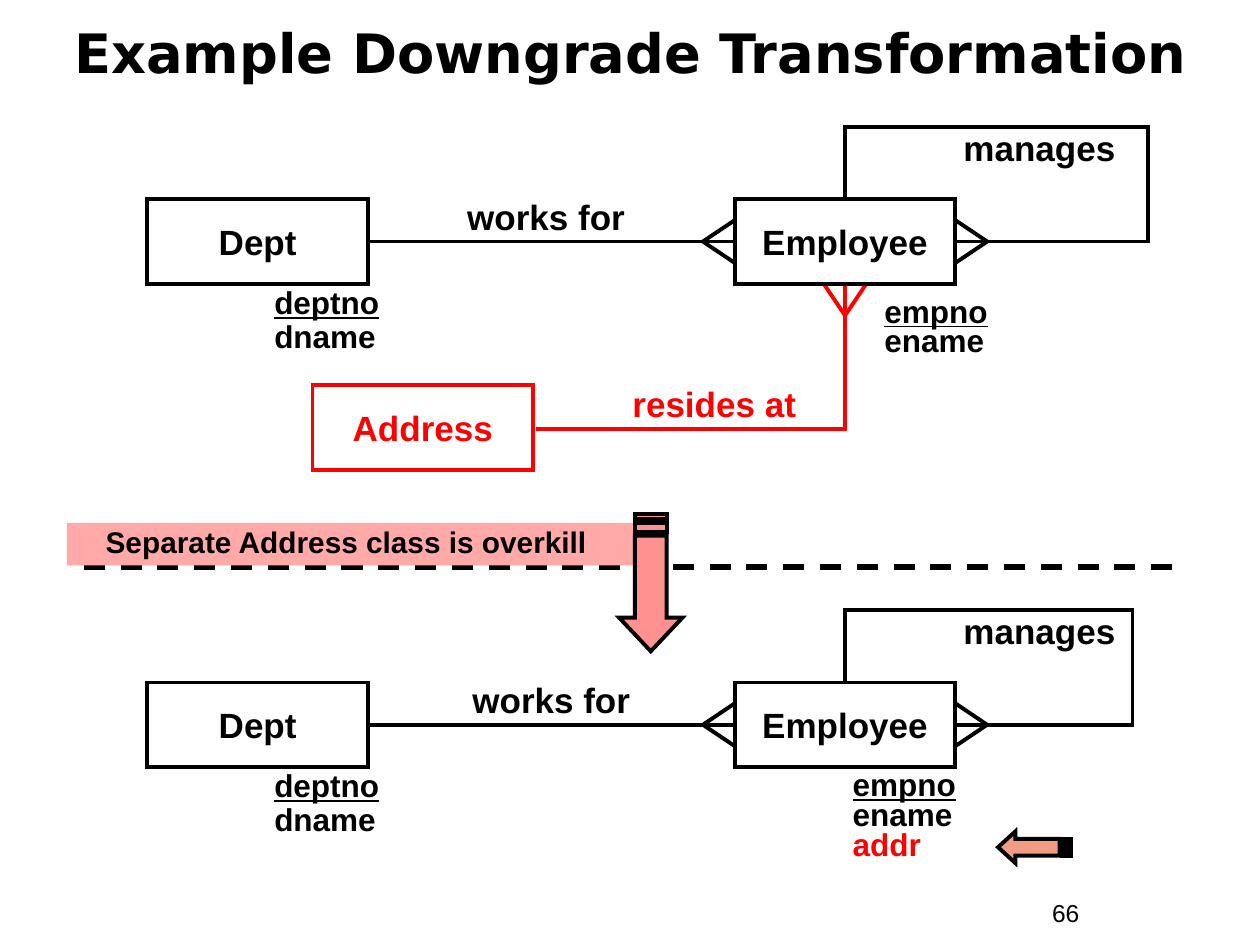
from dataclasses import dataclass

from lxml import etree
from pptx import Presentation
from pptx.dml.color import RGBColor
from pptx.enum.dml import MSO_LINE
from pptx.enum.shapes import MSO_CONNECTOR, MSO_SHAPE
from pptx.enum.text import MSO_ANCHOR, MSO_AUTO_SIZE, PP_ALIGN
from pptx.oxml.ns import qn
from pptx.util import Cm, Pt

STRAIGHT, ELBOW = MSO_CONNECTOR.STRAIGHT, MSO_CONNECTOR.ELBOW
RECTANGLE = MSO_SHAPE.RECTANGLE
CENTER, LEFT = PP_ALIGN.CENTER, PP_ALIGN.LEFT
MIDDLE, TOP = MSO_ANCHOR.MIDDLE, MSO_ANCHOR.TOP
NO_AUTOFIT = MSO_AUTO_SIZE.NONE
DASH = MSO_LINE.DASH
SIDE_LEFT, SIDE_RIGHT = 1, 3

COLORS = {"black": "000000", "red": "FF0000", "banner": "FFA9A9",
          "down arrow": "FF9191", "left arrow": "F49B86"}
BOX_WIDTH, BOX_HEIGHT = 4.45, 1.7
DEPT_LEFT, EMPLOYEE_LEFT = 2.97, 14.81
EMPLOYEE_RIGHT = EMPLOYEE_LEFT + BOX_WIDTH
EMPLOYEE_MIDDLE = EMPLOYEE_LEFT + BOX_WIDTH / 2
FOOT_LENGTH, FOOT_SPREAD = 0.64, 0.43

Point = tuple[float, float]


@dataclass
class TextLine:
    text: str
    size: float = 20
    color: str = "black"
    bold: bool = True
    underline: bool = False
    spacing: float = 1.0


@dataclass
class Diagram:
    top: float
    loop_right: float
    label_width: float
    attributes_at: Point
    attributes: list[TextLine]


def rgb(name: str) -> RGBColor:
    return RGBColor.from_string(COLORS[name])


def style_line(shape, color: str = "black", width: float = 2.25) -> None:
    shape.line.color.rgb = rgb(color)
    shape.line.width = Pt(width)
    miter = etree.SubElement(shape.line._get_or_add_ln(), qn("a:miter"))
    miter.set("lim", "800000")


def write_lines(shape, lines: list[TextLine], alignment=LEFT, anchor=TOP,
                wrap: bool = True, font: str = "Arial") -> None:
    frame = shape.text_frame
    frame.word_wrap, frame.vertical_anchor = wrap, anchor
    frame.auto_size = NO_AUTOFIT
    for index, line in enumerate(lines):
        paragraph = frame.add_paragraph() if index else frame.paragraphs[0]
        paragraph.text = line.text
        paragraph.alignment = alignment
        paragraph.line_spacing = line.spacing
        paragraph.font.name, paragraph.font.size = font, Pt(line.size)
        paragraph.font.bold, paragraph.font.underline = line.bold, line.underline
        paragraph.font.color.rgb = rgb(line.color)


def add_text(slide, left: float, top: float, width: float, height: float,
             lines: list[TextLine], alignment=CENTER) -> None:
    box = slide.shapes.add_textbox(Cm(left), Cm(top), Cm(width), Cm(height))
    write_lines(box, lines, alignment)


def add_rectangle(slide, left: float, top: float, width: float, height: float):
    shape = slide.shapes.add_shape(RECTANGLE, Cm(left), Cm(top), Cm(width), Cm(height))
    shape.shadow.inherit = False
    return shape


def add_entity(slide, left: float, top: float, name: str, color: str = "black"):
    shape = add_rectangle(slide, left, top, BOX_WIDTH, BOX_HEIGHT)
    shape.fill.background()
    style_line(shape, color)
    write_lines(shape, [TextLine(name, color=color)], CENTER, MIDDLE, wrap=False)
    return shape


def add_line(slide, start: Point, end: Point, color: str = "black",
             width: float = 2.25, kind=STRAIGHT):
    connector = slide.shapes.add_connector(kind, *(Cm(value) for value in start + end))
    style_line(connector, color, width)
    etree.SubElement(connector._element.spPr, qn("a:effectLst"))
    return connector


def add_turned_elbow(slide, start: Point, end: Point, preset: str, rotation: int,
                     flip: bool, adjustments: list[float], color: str = "black") -> None:
    """Elbow leaving vertically: its frame is turned, so width and height swap."""
    width, height = abs(end[1] - start[1]), abs(end[0] - start[0])
    left = (start[0] + end[0] - width) / 2
    top = (start[1] + end[1] - height) / 2
    connector = add_line(slide, (left, top), (left + width, top + height), color, kind=ELBOW)
    properties = connector._element.spPr
    frame = properties.find(qn("a:xfrm"))
    frame.set("rot", str(rotation * 60000))
    if flip:
        frame.set("flipH", "1")
    geometry = properties.find(qn("a:prstGeom"))
    geometry.set("prst", preset)
    guides = geometry.find(qn("a:avLst"))
    for number, value in enumerate(adjustments, 1):
        guide = etree.SubElement(guides, qn("a:gd"))
        guide.set("name", f"adj{number}")
        guide.set("fmla", f"val {round(value * 100000)}")


def add_crows_foot(slide, tip: Point, toes: list[Point], color: str = "black") -> None:
    for toe in toes:
        add_line(slide, tip, toe, color)


def add_striped_arrow(slide, center: float, shaft: float, head: float, tip: float, neck: float,
                      base: float, bars: list[Point], vertical: bool, fill: str) -> None:
    """Arrow along one axis, with bars behind its tail; shaft and head are half widths."""
    outlines = [[(base, -shaft), (neck, -shaft), (neck, -head), (tip, 0),
                 (neck, head), (neck, shaft), (base, shaft)]]
    outlines += [[(near, -shaft), (far, -shaft), (far, shaft), (near, shaft)]
                 for near, far in bars]

    def place(along: float, across: float) -> tuple[int, int]:
        point = (center + across, along) if vertical else (along, center + across)
        return Cm(point[0]), Cm(point[1])

    builder = slide.shapes.build_freeform(*place(*outlines[0][0]))
    for number, outline in enumerate(outlines):
        points = [place(*point) for point in outline]
        if number:
            builder.move_to(*points[0])
        builder.add_line_segments(points[1:], close=True)
    arrow = builder.convert_to_shape()
    arrow.shadow.inherit = False
    arrow.fill.solid()
    arrow.fill.fore_color.rgb = rgb(fill)
    style_line(arrow)


def attribute(text: str, spacing: float = 0.9, color: str = "black",
              key: bool = False) -> TextLine:
    return TextLine(text, 18, color, underline=key, spacing=spacing)


def draw_diagram(slide, diagram: Diagram) -> None:
    top, middle = diagram.top, diagram.top + BOX_HEIGHT / 2
    dept = add_entity(slide, DEPT_LEFT, top, "Dept")
    employee = add_entity(slide, EMPLOYEE_LEFT, top, "Employee")

    # Relationship between the two entities
    works_for = add_line(slide, (DEPT_LEFT + BOX_WIDTH, middle), (EMPLOYEE_LEFT, middle))
    works_for.begin_connect(dept, SIDE_RIGHT)
    works_for.end_connect(employee, SIDE_LEFT)
    add_text(slide, 8.89, top - 0.21, diagram.label_width, 1.12, [TextLine("works for")])

    # Loop from the top of Employee to its right side
    start, end = (EMPLOYEE_MIDDLE, top - 0.04), (EMPLOYEE_RIGHT + 0.04, middle)
    rise = (top - 1.46 - start[1]) / (end[1] - start[1])
    reach = (diagram.loop_right - start[0]) / (end[0] - start[0])
    add_turned_elbow(slide, start, end, "bentConnector4", 270, True, [rise, reach])
    add_text(slide, 19.05, top - 1.59, 3.81, 1.12, [TextLine("manages")])

    for edge, direction in ((EMPLOYEE_LEFT, -1), (EMPLOYEE_RIGHT, 1)):
        add_crows_foot(slide, (edge + direction * FOOT_LENGTH, middle),
                       [(edge, middle - FOOT_SPREAD), (edge, middle + FOOT_SPREAD)])

    # Attributes
    add_text(slide, 5.28, top + 1.64, 4.24, 1.63,
             [attribute("deptno", key=True), attribute("dname")], LEFT)
    add_text(slide, *diagram.attributes_at, 3.38, 1.52, diagram.attributes, LEFT)


def main() -> None:
    presentation = Presentation()
    presentation.slide_width, presentation.slide_height = Cm(25.4), Cm(19.05)
    slide = presentation.slides.add_slide(presentation.slide_layouts[5])

    # Title and page number
    title = slide.shapes.title
    title.left, title.top, title.width, title.height = Cm(0.85), Cm(0.2), Cm(23.7), Cm(1.7)
    write_lines(title, [TextLine("Example Downgrade Transformation", 31)],
                CENTER, MIDDLE, font="DejaVu Sans")
    add_text(slide, 20.96, 17.98, 2.34, 0.86, [TextLine("66", 14, bold=False)], LEFT)

    # Divider with its banner and arrow
    divider = add_line(slide, (1.69, 11.43), (23.71, 11.43), width=3)
    divider.line.dash_style = DASH
    banner = add_rectangle(slide, 1.35, 10.54, 11.43, 0.86)
    banner.fill.solid()
    banner.fill.fore_color.rgb = rgb("banner")
    banner.line.fill.background()
    write_lines(banner, [TextLine("Separate Address class is overkill ", 17, spacing=0.85)], CENTER)
    add_striped_arrow(slide, 13.12, 0.32, 0.64, 13.13, 12.45, 10.8,
                      [(10.36, 10.46), (10.54, 10.72)], True, "down arrow")

    # Address, the class to be removed
    foot_top = 5.72
    add_crows_foot(slide, (EMPLOYEE_MIDDLE, foot_top + FOOT_LENGTH),
                   [(EMPLOYEE_MIDDLE - FOOT_SPREAD, foot_top),
                    (EMPLOYEE_MIDDLE + FOOT_SPREAD, foot_top)], "red")
    add_entity(slide, 6.3, 7.77, "Address", "red")
    add_turned_elbow(slide, (EMPLOYEE_MIDDLE, 5.77), (10.8, 8.64),
                     "bentConnector2", 90, False, [], "red")
    add_text(slide, 11.86, 7.59, 5.08, 1.12, [TextLine("resides at", color="red")])

    # The model before and after
    shared = [attribute("empno", key=True), attribute("ename", 0.75)]
    draw_diagram(slide, Diagram(4.02, 23.14, 4.24, (17.58, 5.84), shared))
    draw_diagram(slide, Diagram(13.76, 22.83, 4.45, (16.94, 15.39),
                                shared + [attribute("addr", 0.8, "red")]))
    add_striped_arrow(slide, 17.08, 0.17, 0.32, 20.12, 20.47, 21.36,
                      [(21.54, 21.59), (21.41, 21.49)], False, "left arrow")

    presentation.save("out.pptx")


if __name__ == "__main__":
    main()
